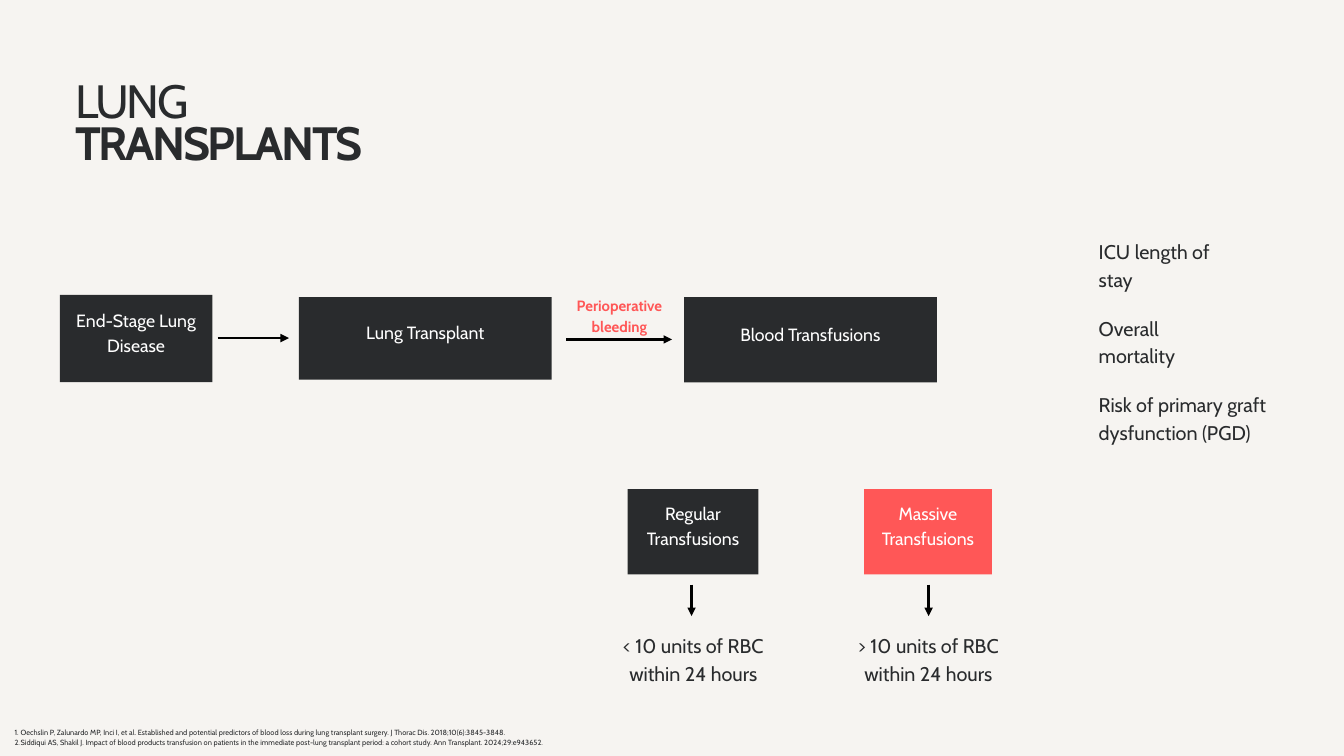
import pptx
import pptx.dml.color
import pptx.enum.shapes
import pptx.enum.text
import pptx.oxml
import pptx.oxml.ns
import pptx.util
from lxml import etree
from pptx.util import Cm

DARK, RED, WHITE, BLACK, PAPER = "292B2D", "FF5757", "FFFFFF", "000000", "F6F4F1"
LEFT = pptx.enum.text.PP_ALIGN.LEFT
CENTER = pptx.enum.text.PP_ALIGN.CENTER
RECTANGLE = pptx.enum.shapes.MSO_SHAPE.RECTANGLE
STRAIGHT = pptx.enum.shapes.MSO_CONNECTOR.STRAIGHT


def color(value):
    return pptx.dml.color.RGBColor.from_string(value)


def write(frame, text, size, leading, ink=DARK, align=LEFT, bold=False, numbered=False):
    frame.word_wrap = True
    frame.margin_left = frame.margin_right = frame.margin_top = frame.margin_bottom = 0
    frame.vertical_anchor = pptx.enum.text.MSO_ANCHOR.TOP
    frame.text = text
    for para in frame.paragraphs:
        if numbered:
            properties = para._p.get_or_add_pPr()
            properties.set("marL", str(Cm(0.48)))
            properties.set("indent", str(Cm(-0.23)))
            number = etree.SubElement(properties, pptx.oxml.ns.qn("a:buAutoNum"))
            number.set("type", "arabicPeriod")
        para.alignment = align
        para.line_spacing = pptx.util.Pt(leading)
        para.font.name = "Cabin"
        para.font.size = pptx.util.Pt(size)
        para.font.bold = bold
        para.font.color.rgb = color(ink)


deck = pptx.Presentation()
deck.slide_width, deck.slide_height = Cm(50.8), Cm(28.58)
slide = deck.slides.add_slide(deck.slide_layouts[5])
slide.background.fill.solid()
slide.background.fill.fore_color.rgb = color(PAPER)

title = slide.shapes.title
title.left, title.top, title.width, title.height = Cm(2.84), Cm(3.23), Cm(19.28), Cm(3.28)
write(title.text_frame, "LUNG\nTRANSPLANTS", 50, 45)
title.text_frame.auto_size = pptx.enum.text.MSO_AUTO_SIZE.NONE
title.text_frame.paragraphs[1].font.bold = True
for para in title.text_frame.paragraphs:
    for span in para.runs:
        span._r.get_or_add_rPr().set("spc", "-250")

steps = [
    ("End-Stage Lung Disease", 2.26, 11.15, 5.77, 3.3, DARK),
    ("Lung Transplant", 11.3, 11.23, 9.55, 3.12, DARK),
    ("Blood Transfusions", 25.86, 11.23, 9.55, 3.23, DARK),
    ("Regular\nTransfusions", 23.72, 18.49, 4.95, 3.23, DARK),
    ("Massive\nTransfusions", 32.66, 18.49, 4.83, 3.23, RED),
]
for text, left, top, width, height, fill in steps:
    box = slide.shapes.add_shape(RECTANGLE, Cm(left), Cm(top), Cm(width), Cm(height))
    box.shadow.inherit = False
    box.fill.solid()
    box.fill.fore_color.rgb = color(fill)
    box.line.fill.background()
    frame = box.text_frame
    write(frame, text, 19, 26.6, WHITE, CENTER)
    frame.vertical_anchor = pptx.enum.text.MSO_ANCHOR.MIDDLE
    frame.margin_left = frame.margin_right = frame.margin_top = Cm(0.15)
    frame.margin_bottom = Cm(0.71)

arrows = [
    (8.23, 12.78, 10.92, 12.78),
    (21.41, 12.83, 25.4, 12.83),
    (26.14, 22.1, 26.14, 23.29),
    (35.1, 22.1, 35.1, 23.29),
]
for ends in arrows:
    arrow = slide.shapes.add_connector(STRAIGHT, *[Cm(end) for end in ends])
    arrow.line.color.rgb = color(BLACK)
    arrow.line.width = pptx.util.Pt(3)
    head = etree.SubElement(arrow.line._get_or_add_ln(), pptx.oxml.ns.qn("a:tailEnd"))
    head.set("type", "triangle")
    etree.SubElement(arrow._element.spPr, pptx.oxml.ns.qn("a:effectLst"))

notes = [
    ("< 10 units of RBC within 24 hours", 23.16, 23.83, 6.1, CENTER),
    ("> 10 units of RBC within 24 hours", 31.78, 23.83, 6.63, CENTER),
]
outcomes = [
    ("ICU length of stay", 4.72),
    ("Overall mortality", 4.72),
    ("Risk of primary graft dysfunction (PGD)", 7.54),
]
for row, (text, width) in enumerate(outcomes):
    notes.append((text, 41.53, 8.92 + 2.9 * row, width, LEFT))
for text, left, top, width, align in notes:
    box = slide.shapes.add_textbox(Cm(left), Cm(top), Cm(width), Cm(2.08))
    write(box.text_frame, text, 21.2, 29.6, align=align)

bleeding = slide.shapes.add_textbox(Cm(21.18), Cm(11.1), Cm(4.47), Cm(1.57))
write(bleeding.text_frame, "Perioperative\nbleeding", 16, 22.4, RED, CENTER, bold=True)

references = slide.shapes.add_textbox(Cm(0.3), Cm(27.46), Cm(22.86), Cm(0.81))
citations = [
    "Oechslin P, Zalunardo MP, Inci I, et al. Established and potential predictors of blood loss "
    "during lung transplant surgery. J Thorac Dis. 2018;10(6):3845-3848.",
    "Siddiqui AS, Shakil J. Impact of blood products transfusion on patients in the immediate "
    "post-lung transplant period: a cohort study. Ann Transplant. 2024;29:e943652.",
]
write(references.text_frame, "\n".join(citations), 8, 11.2, numbered=True)

deck.save("out.pptx")
